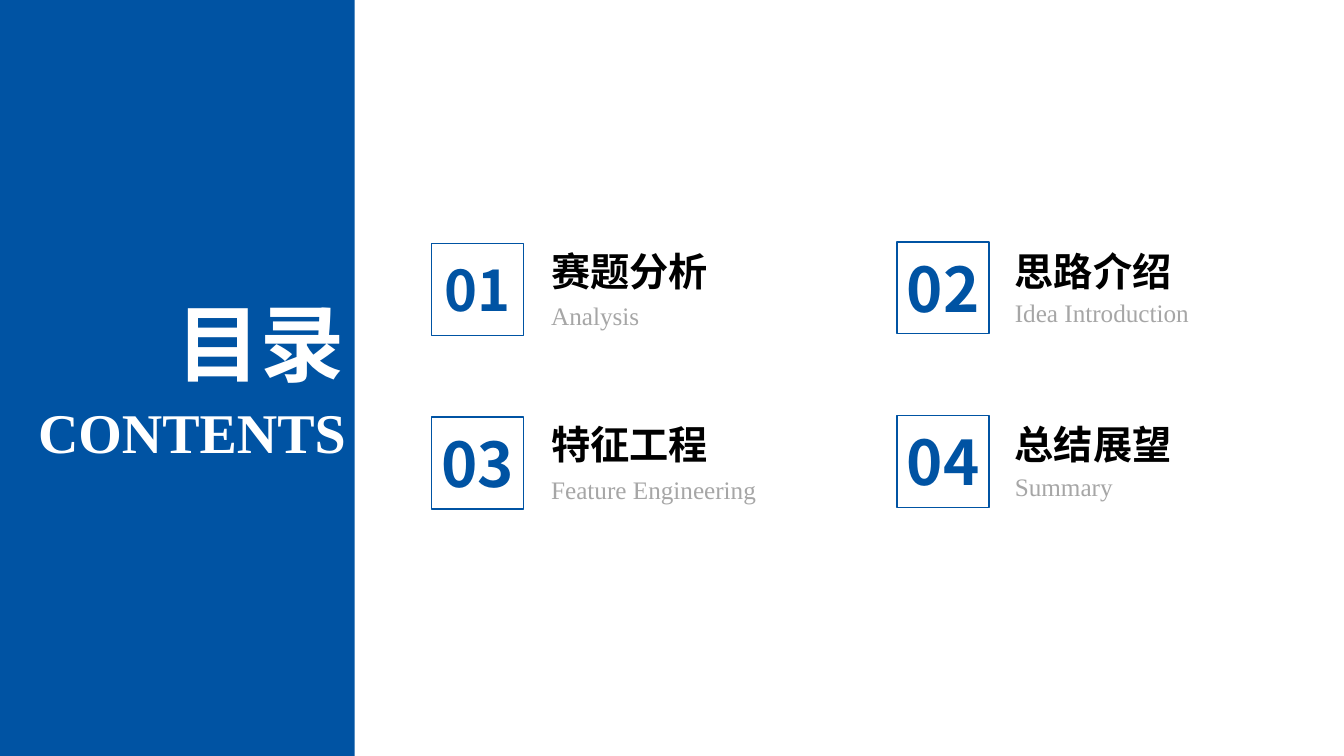
from pptx import Presentation
from pptx.dml.color import RGBColor
from pptx.enum.shapes import MSO_SHAPE as Shape
from pptx.enum.text import MSO_AUTO_SIZE as AutoSize, PP_ALIGN as Align
from pptx.oxml.ns import qn
from pptx.util import Pt
from lxml.etree import SubElement

BLUE, WHITE, BLACK, GREY = "0053A3", "FFFFFF", "000000", "A6A6A6"
SANS, SERIF = "Noto Sans CJK SC", "Times New Roman"
SQUARE = 65.6


def color(hex_code):
    return RGBColor.from_string(hex_code)


def text_height(size):
    return size * 1.2 + 7.2


def add_text(shapes, text, left, top, width, size, font, hex_code,
             bold=True, align=Align.LEFT):
    box = shapes.add_textbox(Pt(left), Pt(top), Pt(width), Pt(text_height(size)))
    frame = box.text_frame
    frame.word_wrap = True
    frame.auto_size = AutoSize.SHAPE_TO_FIT_TEXT
    para = frame.paragraphs[0]
    para.alignment = align
    span = para.add_run()
    span.text = text
    for name, value in {"name": font, "size": Pt(size), "bold": bold}.items():
        setattr(span.font, name, value)
    span.font.color.rgb = color(hex_code)
    # East Asian typeface
    SubElement(span.font._element, qn("a:ea"), typeface=font)


def add_rectangle(shapes, left, top, width, height, fill=None, line=None):
    shape = shapes.add_shape(Shape.RECTANGLE, Pt(left), Pt(top), Pt(width), Pt(height))
    shape.shadow.inherit = False
    if fill:
        shape.fill.solid()
        shape.fill.fore_color.rgb = color(fill)
    else:
        shape.fill.background()
    if line:
        shape.line.color.rgb = color(line)
        shape.line.width = Pt(1)
    else:
        shape.line.fill.background()


def add_side_panel(page, left, top, width, height):
    shapes = page.shapes
    add_rectangle(shapes, left, top, width, height, fill=BLUE)
    middle = top + height / 2
    add_text(shapes, "目录", left + 70.6, middle - 65.5, width - 70.6, 60,
             SANS, WHITE, align=Align.RIGHT)
    add_text(shapes, "CONTENTS", left, middle + 10.1, width + 0.7, 40,
             SERIF, WHITE, align=Align.RIGHT)


def add_entry(page, left, top, number, title, subtitle, size,
              square_drop, text_shift, subtitle_drop):
    shapes = page.shapes.add_group_shape().shapes
    # Title and subtitle
    add_text(shapes, title, left + text_shift, top, 188.6, 28, SANS, BLACK)
    add_text(shapes, subtitle, left + text_shift, top + subtitle_drop, 188.6, 18,
             SERIF, GREY, bold=False)
    # Number centred on its square
    square_top = top + square_drop
    number_top = square_top + (SQUARE - text_height(size)) / 2
    add_text(shapes, number, left - 2.5, number_top, SQUARE + 5, size,
             SANS, BLUE, align=Align.CENTER)
    add_rectangle(shapes, left, square_top, SQUARE, SQUARE, line=BLUE)


def add_entries(page, left, top, column_step, row_step):
    entries = [
        ("01", "赛题分析", "Analysis", 40),
        ("02", "思路介绍", "Idea Introduction", 44),
        ("03", "特征工程", "Feature Engineering", 44),
        ("04", "总结展望", "Summary", 44),
    ]
    # Square drop, text shift and subtitle drop of each column
    columns = [(1.2, 78.4, 38.5), (0, 77, 36.4)]
    for index, entry in enumerate(entries):
        row, column = divmod(index, 2)
        add_entry(page, left + column * column_step, top + row * row_step,
                  *entry, *columns[column])


def main():
    deck = Presentation()
    deck.slide_width, deck.slide_height = Pt(960), Pt(540)
    page = deck.slides.add_slide(deck.slide_layouts[6])
    add_side_panel(page, 0, 0, 253.4, 540)
    add_entries(page, 308.2, 172.8, 332.6, 124)
    deck.save("out.pptx")


if __name__ == "__main__":
    main()
